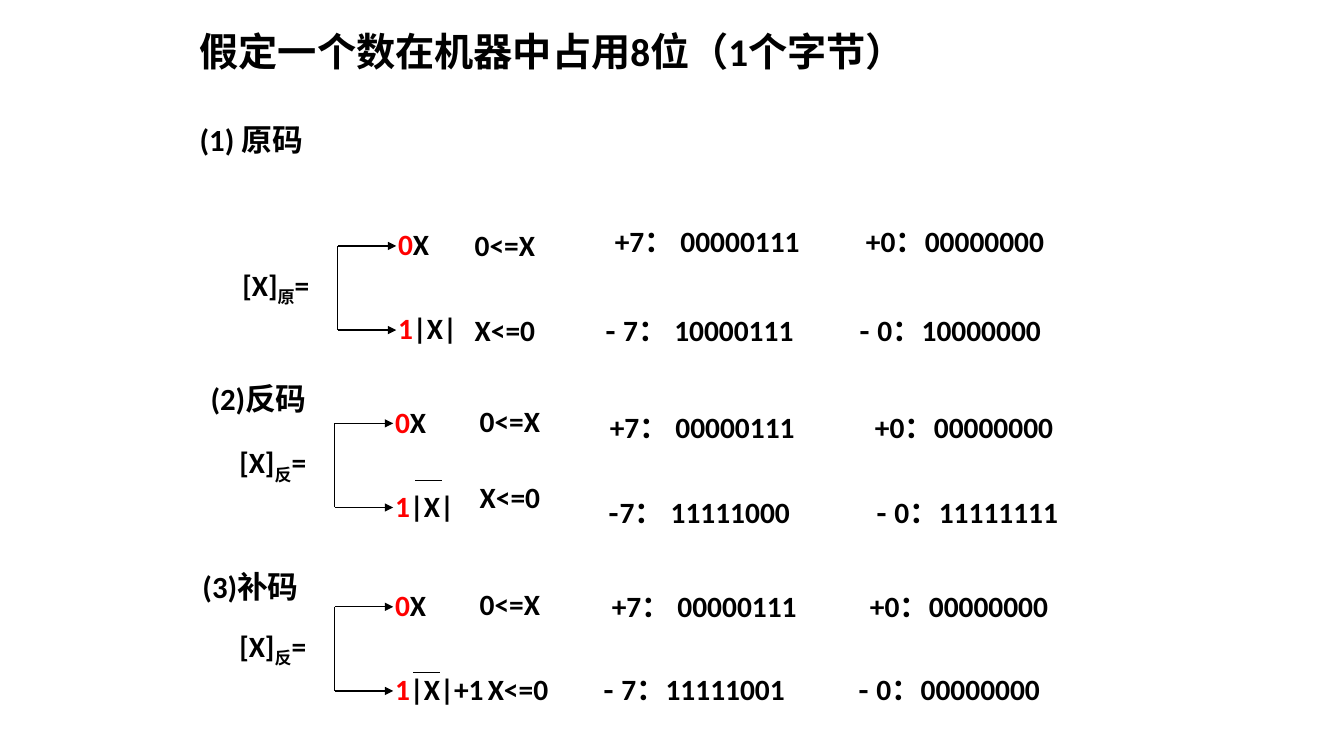
from lxml.etree import SubElement
from pptx import Presentation
from pptx.dml.color import RGBColor
from pptx.enum.shapes import MSO_CONNECTOR
from pptx.oxml.ns import qn
from pptx.util import Emu, Inches, Pt

SLIDE_WIDTH, SLIDE_HEIGHT = Inches(13.33), Inches(7.5)
COLUMN, ROW = SLIDE_WIDTH / 133.3, SLIDE_HEIGHT / 75
BLACK, RED = RGBColor(0, 0, 0), RGBColor(255, 0, 0)
LATIN, CHINESE = "Calibri", "Noto Sans CJK SC"
BRANCH_GAP = 8.35

SECTIONS = [
    dict(origin=(33.5, 24.4), code="原", negative="|X|",
         conditions=[("0<=X", 12.6, -2.4), ("X<=0", 12.6, 6.1)],
         examples=[("+", "7： 00000111", 26.5, -2.8), ("+", "0：00000000", 51.4, -2.8),
                   ("-", " 7： 10000111", 25.6, 6.1), ("-", " 0：10000000", 50.8, 6.1)]),
    dict(origin=(33.2, 42), code="反", negative="|X|",
         heading=("(2)反码", -13.3, -4.8), overline=(8, 5.7),
         conditions=[("0<=X", 13.4, -2.5), ("X<=0", 13.4, 5)],
         examples=[("+", "7： 00000111", 26.3, -1.9), ("+", "0：00000000", 52.6, -1.9),
                   ("-", "7： 11111000", 26.2, 6.5), ("-", " 0：11111111", 52.8, 6.5)]),
    dict(origin=(33.2, 60.2), code="反", negative="|X|+1",
         heading=("(3)补码", -14.1, -4.4), overline=(7.8, 6.5),
         conditions=[("0<=X", 13.4, -2.5), ("X<=0", 14.2, 5.9)],
         examples=[("+", "7： 00000111", 26.5, -2.3), ("+", "0：00000000", 52.1, -2.3),
                   ("-", " 7：11111001", 25.7, 5.9), ("-", " 0：00000000", 51, 5.9)]),
]


def place(left, top):
    """Turn grid columns and rows into slide lengths."""
    return Emu(round(left * COLUMN)), Emu(round(top * ROW))


def add_span(para, text, size=21, color=BLACK, font=LATIN, baseline=0):
    """Append formatted text to a paragraph."""
    span = para.add_run()
    span.text = text
    span.font.size, span.font.bold, span.font.name = Pt(size), True, font
    span.font.color.rgb = color
    properties = span._r.get_or_add_rPr()
    SubElement(properties, qn("a:ea")).set("typeface", CHINESE)
    if baseline:
        properties.set("baseline", str(baseline * 1000))


def add_box(page, left, top, width, height=4.6):
    """Add an empty wrapping text box and return its frame."""
    frame = page.shapes.add_textbox(*place(left, top), *place(width, height)).text_frame
    frame.word_wrap = True
    return frame


def add_line(page, start, end, arrow=False):
    """Draw a thin black line, optionally with an arrowhead."""
    line = page.shapes.add_connector(MSO_CONNECTOR.STRAIGHT, *place(*start), *place(*end))
    line.line.color.rgb, line.line.width = BLACK, Pt(1)
    if arrow:
        SubElement(line.line._get_or_add_ln(), qn("a:tailEnd")).set("type", "triangle")
    SubElement(line._element.spPr, qn("a:effectLst"))


def add_title(page, left, top, width):
    """Write the title and the first heading in one box."""
    frame = add_box(page, left, top, width, 15.5)
    frame.margin_left = frame.margin_right = Inches(0.07)
    frame.margin_top = frame.margin_bottom = Inches(0.04)
    add_span(frame.paragraphs[0], "假定一个数在机器中占用8位（1个字节）", size=28)
    heading = frame.add_paragraph()
    heading.space_before = Pt(33)
    add_span(heading, "(1) 原码", size=22)


def add_section(page, origin, code, negative, conditions, examples, heading=None, overline=None):
    """Draw one code definition relative to the top of its bracket."""
    left, top = origin

    def para_at(across, down, width):
        return add_box(page, left + across, top + down, width).paragraphs[0]

    if heading:
        text, across, down = heading
        add_span(para_at(across, down, 13), text, size=22)
    formula = para_at(-10.45, 1.6, 12)
    add_span(formula, "[X]")
    add_span(formula, code, baseline=-25)
    add_span(formula, "=")

    add_line(page, origin, (left, top + BRANCH_GAP))
    for index, (sign, value) in enumerate([("0", "X"), ("1", negative)]):
        down = index * BRANCH_GAP
        add_line(page, (left, top + down), (left + 5.8, top + down), arrow=True)
        branch = para_at(5, down - 2.45, 19)
        add_span(branch, sign, color=RED)
        add_span(branch, value)
    if overline:
        across, down = overline
        add_line(page, (left + across, top + down), (left + across + 2.6, top + down))

    for text, across, down in conditions:
        add_span(para_at(across, down, 13), text)
    for sign, digits, across, down in examples:
        example = para_at(across, down, 25)
        add_span(example, sign, font=CHINESE if sign == "-" else LATIN)
        add_span(example, digits)


def main():
    """Build and save the slide."""
    deck = Presentation()
    deck.slide_width, deck.slide_height = SLIDE_WIDTH, SLIDE_HEIGHT
    page = deck.slides.add_slide(deck.slide_layouts[6])
    add_title(page, 19.1, 2.3, 86.2)
    for section in SECTIONS:
        add_section(page, **section)
    deck.save("out.pptx")


if __name__ == "__main__":
    main()
